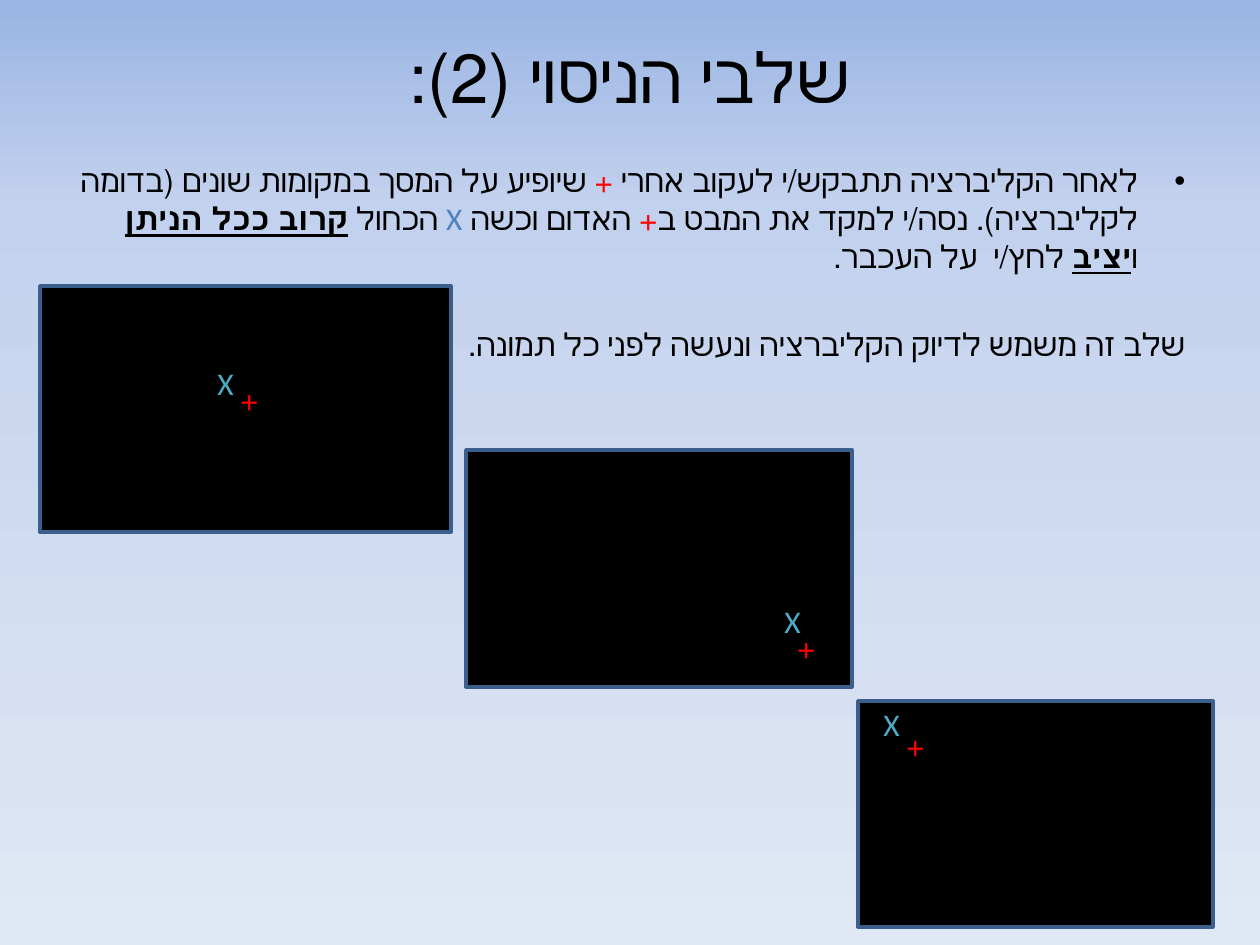
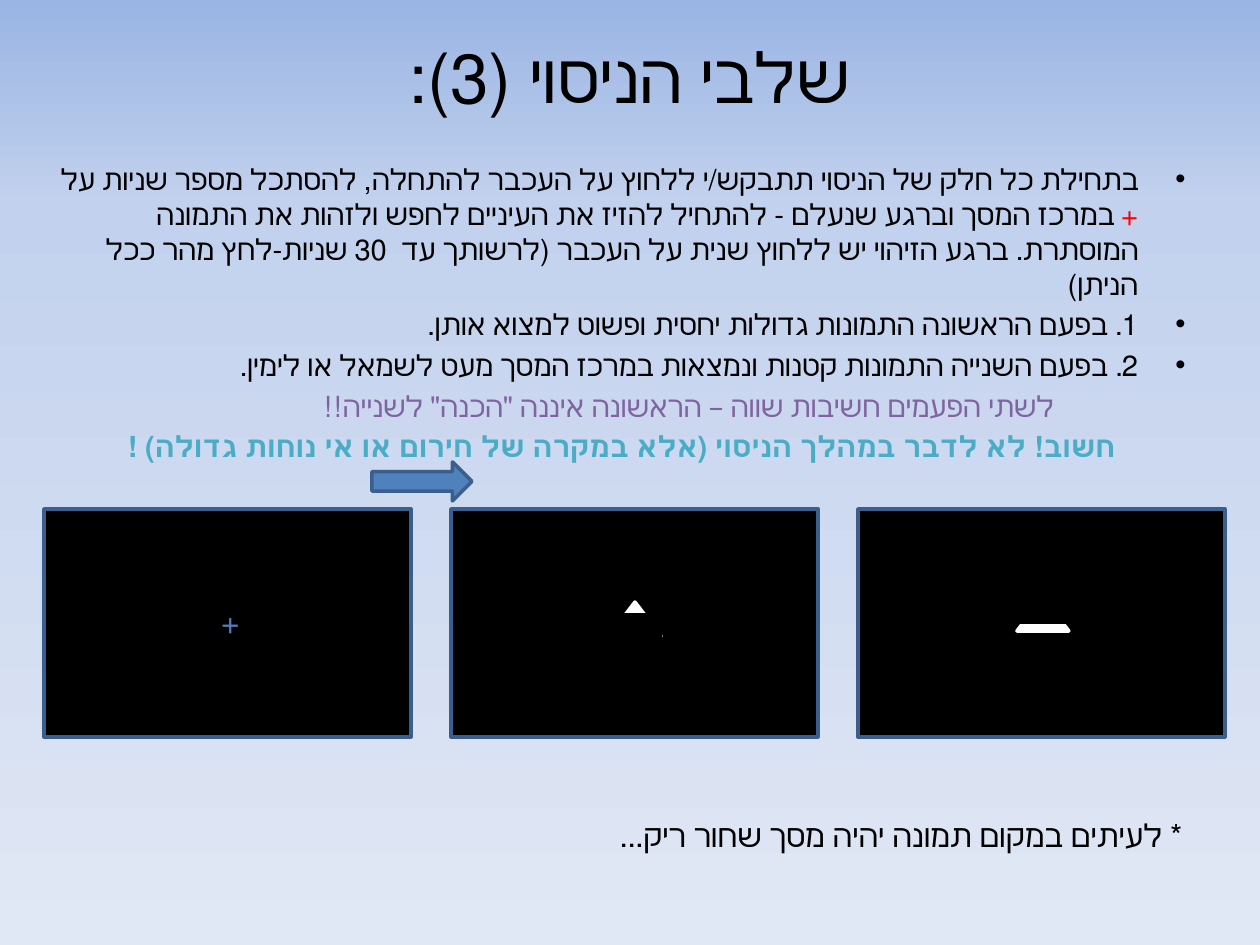
import copy

import pptx
import pptx.dml.color
import pptx.enum.lang
import pptx.enum.shapes
import pptx.enum.text
import pptx.oxml.ns
import pptx.util

RGB = pptx.dml.color.RGBColor
SHAPE = pptx.enum.shapes.MSO_SHAPE
ALIGN = pptx.enum.text.PP_ALIGN
ANCHOR = pptx.enum.text.MSO_ANCHOR
AUTO_SIZE = pptx.enum.text.MSO_AUTO_SIZE
HEBREW = pptx.enum.lang.MSO_LANGUAGE_ID.HEBREW

BLACK = RGB(0x00, 0x00, 0x00)
WHITE = RGB(0xFF, 0xFF, 0xFF)
RED = RGB(0xFF, 0x00, 0x00)
BLUE = RGB(0x4F, 0x81, 0xBD)
DARK_BLUE = RGB(0x3A, 0x5F, 0x8C)
TEAL = RGB(0x4B, 0xAC, 0xC6)
PURPLE = RGB(0x80, 0x64, 0xA2)
SKY = [(0, RGB(0x9A, 0xB5, 0xE4)), (0.22, RGB(0xC2, 0xD1, 0xED)), (1, RGB(0xE1, 0xE8, 0xF5))]

FONT = "Calibri"
PIXELS_PER_INCH = 126
TITLE_BOX = (63, 34, 1134, 157)
MARK_SIZES = {"X": (54, 50), "+": (49, 50)}


def px(length):
    return pptx.util.Emu(round(length * 914400 / PIXELS_PER_INCH))


def place(item, box):
    item.left, item.top, item.width, item.height = map(px, box)


def write(frame, *spans, size=18, color=BLACK, bold=None, align=ALIGN.RIGHT,
          bullet=False, indent=0, before=None):
    para = frame.paragraphs[0]
    if para.runs:
        para = frame.add_paragraph()
    para.alignment = align
    settings = para._p.get_or_add_pPr()
    settings.set("rtl", "1")
    if before is not None:
        para.space_before = pptx.util.Pt(before)
    if not bullet:
        settings.set("marL", str(px(indent)))
        settings.set("indent", "0")
        settings.append(pptx.oxml.parse_xml(
            "<a:buNone %s/>" % pptx.oxml.ns.nsdecls("a")))
    for item in spans:
        words, style = (item, {}) if isinstance(item, str) else item
        span = para.add_run()
        span.text = words
        span.font.name = FONT
        span.font.size = pptx.util.Pt(size)
        span.font.color.rgb = style.get("color", color)
        span.font.bold = style.get("bold", bold)
        span.font.underline = style.get("underline")
        span.font.language_id = HEBREW


def add_label(page, box, words, **style):
    label = page.shapes.add_textbox(*map(px, box))
    label.text_frame.word_wrap = True
    label.text_frame.auto_size = AUTO_SIZE.SHAPE_TO_FIT_TEXT
    write(label.text_frame, words, **style)


def add_figure(page, kind, box, fill, line):
    figure = page.shapes.add_shape(kind, *map(px, box))
    figure.shadow.inherit = False
    figure.fill.solid()
    figure.fill.fore_color.rgb = fill
    figure.line.color.rgb = line
    figure.line.width = pptx.util.Pt(2)


def add_screen(page, box, marks=()):
    add_figure(page, SHAPE.RECTANGLE, box, BLACK, DARK_BLUE)
    left, top = box[:2]
    for sign, color, x, y in marks:
        add_label(page, (left + x, top + y, *MARK_SIZES[sign]), sign, color=color)


def add_covered_triangle(page, screen, triangle, cover):
    left, top = screen[:2]
    for kind, (x, y), size, color in (
            (SHAPE.ISOSCELES_TRIANGLE, triangle, (52, 34), WHITE),
            (SHAPE.RECTANGLE, cover, (69, 40), BLACK)):
        add_figure(page, kind, (left + x, top + y, *size), color, color)


def paint_background(master):
    fill = master.background.fill
    fill.gradient()
    fill.gradient_angle = 270
    stops = next(master.element.iter(pptx.oxml.ns.qn("a:gsLst")))
    stops.append(copy.deepcopy(stops[-1]))
    for stop, (position, color) in zip(fill.gradient_stops, SKY):
        stop.position = position
        stop.color.rgb = color


def add_page(deck, title, body_box):
    page = deck.slides.add_slide(deck.slide_layouts[1])
    heading, body = page.placeholders
    place(heading, TITLE_BOX)
    frame = heading.text_frame
    frame.vertical_anchor = ANCHOR.TOP
    frame.margin_top = 0
    frame.auto_size = AUTO_SIZE.NONE
    write(frame, title, size=39.6, align=ALIGN.CENTER)
    place(body, body_box)
    body.text_frame.auto_size = AUTO_SIZE.NONE
    return page, body.text_frame


def build_tracking_page(deck):
    page, body = add_page(deck, "שלבי הניסוי (2):", (64, 155, 1134, 735))
    red_plus = ("+", {"color": RED})
    strong = {"bold": True, "underline": True}
    write(body, "לאחר הקליברציה תתבקש/י לעקוב אחרי ", red_plus,
          " שיופיע על המסך במקומות שונים (בדומה לקליברציה). נסה/י למקד את המבט ב",
          red_plus, " האדום וכשה ", ("X", {"color": BLUE}), " הכחול ",
          ("קרוב ככל הניתן ", strong), "ו", ("יציב", strong),
          " לחץ/י  על העכבר.", bullet=True)
    write(body, "שלב זה משמש לדיוק הקליברציה ונעשה לפני כל תמונה.", before=28.5)
    for box, cross, plus in (
            ((40, 286, 411, 246), (152, 72), (182, 87)),
            ((466, 450, 386, 237), (293, 146), (313, 171)),
            ((858, 701, 355, 226), (0, -2), (30, 18))):
        add_screen(page, box, [("X", TEAL, *cross), ("+", RED, *plus)])


def build_search_page(deck):
    page, body = add_page(deck, "שלבי הניסוי (3):", (44, 155, 1154, 287))
    size = 16.6
    write(body, "בתחילת כל חלק של הניסוי תתבקש/י ללחוץ על העכבר להתחלה, להסתכל מספר שניות על ",
          ("+", {"color": RED}),
          " במרכז המסך וברגע שנעלם - להתחיל להזיז את העיניים לחפש ולזהות את התמונה המוסתרת."
          " ברגע הזיהוי יש ללחוץ שנית על העכבר (לרשותך עד  30 שניות-לחץ מהר ככל הניתן)",
          size=size, bullet=True)
    for item in ("1. בפעם הראשונה התמונות גדולות יחסית ופשוט למצוא אותן.",
                 "2. בפעם השנייה התמונות קטנות ונמצאות במרכז המסך מעט לשמאל או לימין."):
        write(body, item, size=size, bullet=True)
    write(body, 'לשתי הפעמים חשיבות שווה – הראשונה איננה "הכנה" לשנייה!!',
          size=size, color=PURPLE, indent=132)
    write(body, "חשוב! לא לדבר במהלך הניסוי (אלא במקרה של חירום או אי נוחות גדולה) !",
          size=size, color=TEAL, bold=True, align=ALIGN.CENTER)

    screens = [(44 + 407 * column, 509, 367, 228) for column in range(3)]
    for screen, marks in zip(screens, ([("+", BLUE, 159, 87)], [], [])):
        add_screen(page, screen, marks)
    add_covered_triangle(page, screens[2], (159, 88), (159, 73))
    add_covered_triangle(page, screens[1], (158, 93), (140, 106))
    add_figure(page, SHAPE.RIGHT_ARROW, (372, 462, 100, 39), BLUE, DARK_BLUE)
    add_label(page, (84, 810, 1111, 50), "* לעיתים במקום תמונה יהיה מסך שחור ריק...")


deck = pptx.Presentation()
deck.slide_width = px(1260)
deck.slide_height = px(945)
paint_background(deck.slide_master)
build_tracking_page(deck)
build_search_page(deck)
deck.save("out.pptx")
